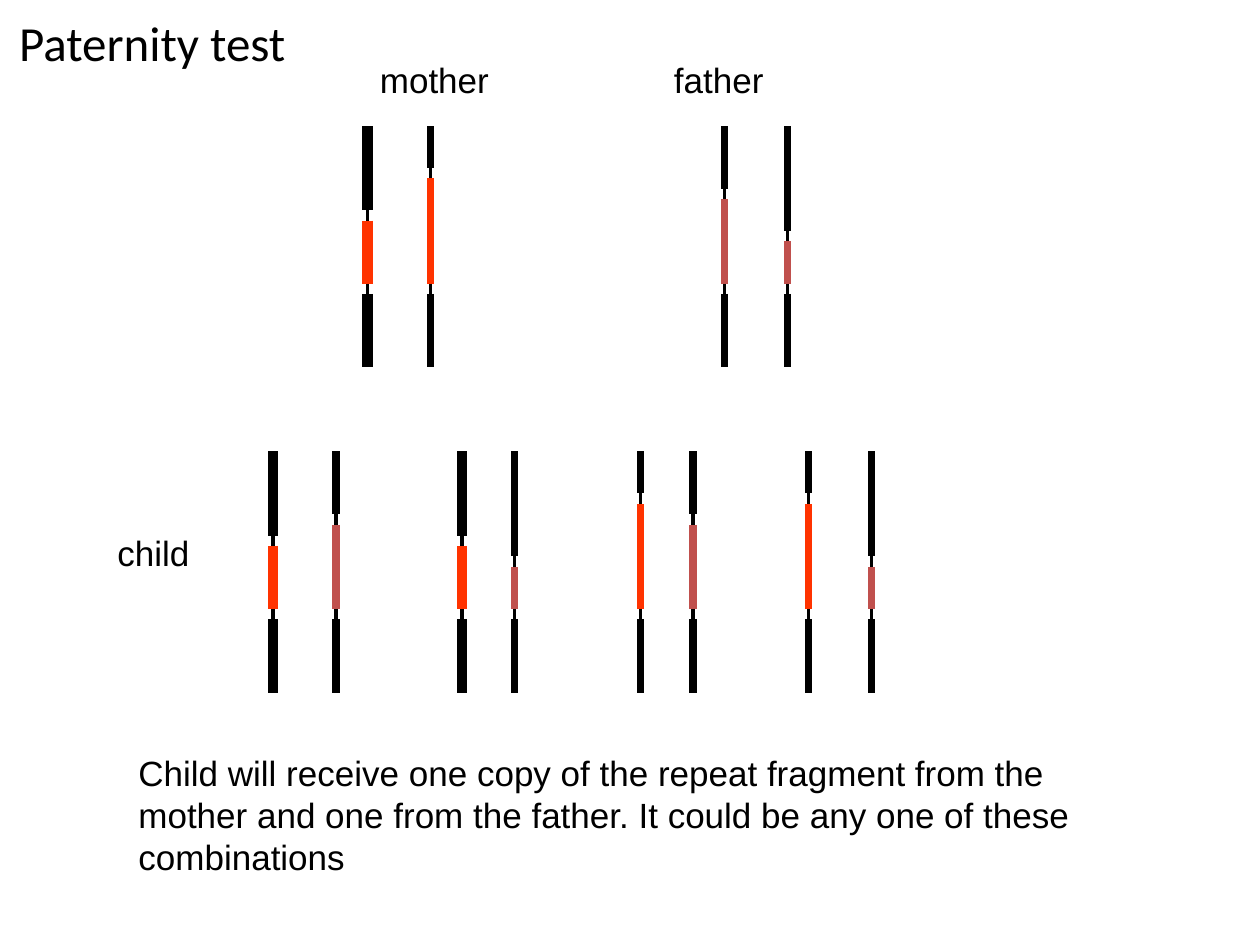
from dataclasses import dataclass

from lxml.etree import SubElement
from pptx import Presentation
from pptx.dml.color import RGBColor
from pptx.enum.shapes import MSO_CONNECTOR as Connector
from pptx.enum.text import MSO_ANCHOR as Anchor, MSO_AUTO_SIZE as AutoSize, PP_ALIGN as Align
from pptx.oxml.ns import qn
from pptx.util import Pt

PX = 7620  # EMU in one px, 120 px to the inch


@dataclass(frozen=True)
class Theme:
    ink: str = "000000"
    maternal: str = "FF3300"
    paternal: str = "C0504D"
    title_font: str = "Calibri"
    body_font: str = "Arial"
    title_size: int = 28
    body_size: int = 20
    thick: float = 6
    medium: float = 4.5
    thin: float = 2.25


THEME = Theme()


@dataclass(frozen=True)
class Chromosome:
    """Offsets in px run down from the top; the repeat ends at REPEAT_END."""
    repeat_start: int
    color: str
    width: float = THEME.medium


JOINT = 10
REPEAT_END = 150
LENGTH = 230

MOTHER_SHORT = Chromosome(90, THEME.maternal, THEME.thick)
MOTHER_LONG = Chromosome(50, THEME.maternal)
FATHER_LONG = Chromosome(70, THEME.paternal)
FATHER_SHORT = Chromosome(110, THEME.paternal)


def write(frame, text, font=THEME.body_font, size=THEME.body_size,
          align=Align.LEFT, anchor=Anchor.TOP, wrap=False, fit=AutoSize.SHAPE_TO_FIT_TEXT):
    frame.text = text
    frame.word_wrap = wrap
    frame.auto_size = fit
    frame.vertical_anchor = anchor
    for paragraph in frame.paragraphs:
        paragraph.alignment = align
        paragraph.font.name = font
        paragraph.font.size = Pt(size)
        paragraph.font.color.rgb = RGBColor.from_string(THEME.ink)


def add_label(slide, text, box):
    label = slide.shapes.add_textbox(*(n * PX for n in box))
    write(label.text_frame, text)


def add_title(slide, text, box):
    title = slide.shapes.title
    title.left, title.top, title.width, title.height = (n * PX for n in box)
    write(title.text_frame, text, font=THEME.title_font, size=THEME.title_size,
          align=Align.CENTER, anchor=Anchor.MIDDLE, wrap=True, fit=AutoSize.NONE)


def add_chromosome(slide, x, top, chromosome):
    """Draw two arms and a repeat, joined by thin lines, as one group."""
    start, color, width = chromosome.repeat_start, chromosome.color, chromosome.width
    parts = [
        (0, start - JOINT, THEME.ink, width),
        (start, REPEAT_END, color, width),
        (REPEAT_END + JOINT, LENGTH, THEME.ink, width),
        (start - JOINT, start, THEME.ink, THEME.thin),
        (REPEAT_END, REPEAT_END + JOINT, THEME.ink, THEME.thin),
    ]
    group = slide.shapes.add_group_shape()
    for begin, end, part_color, part_width in parts:
        part = group.shapes.add_connector(
            Connector.STRAIGHT, x * PX, (top + begin) * PX, x * PX, (top + end) * PX)
        part.line.color.rgb = RGBColor.from_string(part_color)
        part.line.width = Pt(part_width)
        SubElement(part._element.spPr, qn("a:effectLst"))


def add_pair(slide, left, top, gap, pair):
    for i, chromosome in enumerate(pair):
        add_chromosome(slide, left + i * gap, top, chromosome)


def add_parents(slide, top):
    add_pair(slide, 690, top, 60, (FATHER_LONG, FATHER_SHORT))
    add_pair(slide, 350, top, 60, (MOTHER_SHORT, MOTHER_LONG))
    add_label(slide, "mother", (350, top - 70, 130, 52))
    add_label(slide, "father", (630, top - 70, 112, 52))


def add_children(slide, top):
    combinations = [
        (260, 60, (MOTHER_SHORT, FATHER_LONG)),
        (440, 50, (MOTHER_SHORT, FATHER_SHORT)),
        (610, 50, (MOTHER_LONG, FATHER_LONG)),
        (770, 60, (MOTHER_LONG, FATHER_SHORT)),
    ]
    for left, gap, pair in combinations:
        add_pair(slide, left, top, gap, pair)
    add_label(slide, "child", (100, top + 70, 96, 52))


def main():
    deck = Presentation()
    deck.slide_width, deck.slide_height = 1200 * PX, 900 * PX
    slide = deck.slides.add_slide(deck.slide_layouts[5])
    add_title(slide, "Paternity test", (0, 0, 290, 80))
    add_parents(slide, top=120)
    add_children(slide, top=430)
    add_label(slide, "Child will receive one copy of the repeat fragment from the\n"
                     "mother and one from the father. It could be any one of these\n"
                     "combinations", (120, 710, 943, 132))
    deck.save("out.pptx")


if __name__ == "__main__":
    main()
